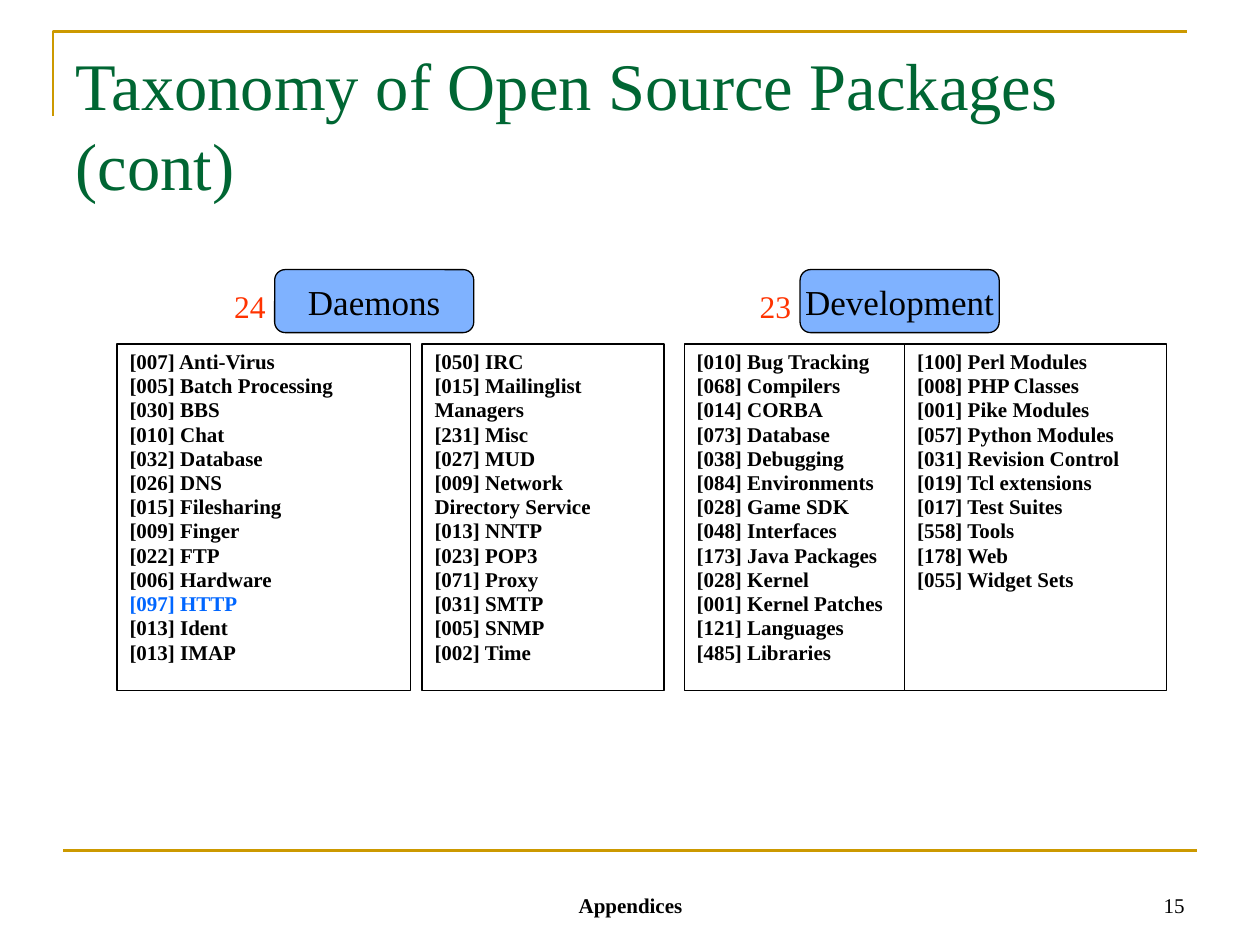
from pptx import Presentation
from pptx.dml.color import RGBColor
from pptx.enum.shapes import MSO_CONNECTOR, MSO_SHAPE
from pptx.enum.text import MSO_ANCHOR, MSO_AUTO_SIZE, PP_ALIGN
from pptx.oxml.ns import qn
from pptx.util import Inches, Pt
from lxml import etree

STRAIGHT = MSO_CONNECTOR.STRAIGHT
RECT, BADGE = MSO_SHAPE.RECTANGLE, MSO_SHAPE.FLOWCHART_ALTERNATE_PROCESS
TOP, MIDDLE, BOTTOM = MSO_ANCHOR.TOP, MSO_ANCHOR.MIDDLE, MSO_ANCHOR.BOTTOM
LEFT, CENTER, RIGHT = PP_ALIGN.LEFT, PP_ALIGN.CENTER, PP_ALIGN.RIGHT
NO_AUTOFIT = MSO_AUTO_SIZE.NONE
TITLE_ONLY = 5

FONT = "Times New Roman"
COLORS = {"rule": "CC9900", "title": "006633", "accent": "0066FF",
          "count": "FF3300", "ink": "000000", "paper": "FFFFFF"}
HIGHLIGHT = "[097] HTTP"

# Each group: name, package count, left of its badge, columns as (left, width, entries)
GROUPS = [
    ("Daemons", "24", 2.18, [
        (0.93, 2.33, ["[007] Anti-Virus", "[005] Batch Processing", "[030] BBS",
                      "[010] Chat", "[032] Database", "[026] DNS",
                      "[015] Filesharing", "[009] Finger", "[022] FTP",
                      "[006] Hardware", "[097] HTTP", "[013] Ident", "[013] IMAP"]),
        (3.35, 1.92, ["[050] IRC", "[015] Mailinglist Managers", "[231] Misc",
                      "[027] MUD", "[009] Network Directory Service",
                      "[013] NNTP", "[023] POP3", "[071] Proxy", "[031] SMTP",
                      "[005] SNMP", "[002] Time"]),
    ]),
    ("Development", "23", 6.35, [
        (5.43, 1.75, ["[010] Bug Tracking", "[068] Compilers", "[014] CORBA",
                      "[073] Database", "[038] Debugging", "[084] Environments",
                      "[028] Game SDK", "[048] Interfaces", "[173] Java Packages",
                      "[028] Kernel", "[001] Kernel Patches", "[121] Languages",
                      "[485] Libraries"]),
        (7.18, 2.08, ["[100] Perl Modules", "[008] PHP Classes",
                      "[001] Pike Modules", "[057] Python Modules",
                      "[031] Revision Control", "[019] Tcl extensions",
                      "[017] Test Suites", "[558] Tools", "[178] Web",
                      "[055] Widget Sets"]),
    ]),
]


def rgb(name):
    return RGBColor.from_string(COLORS[name])


def inches(*lengths):
    return [Inches(length) for length in lengths]


def write(para, text, size, color="ink", bold=False, align=LEFT):
    para.alignment = align
    span = para.add_run()
    span.text = text
    span.font.name = FONT
    span.font.size = Pt(size)
    span.font.bold = bold
    span.font.color.rgb = rgb(color)


def set_frame(shape, anchor, wrap=True):
    frame = shape.text_frame
    frame.auto_size = NO_AUTOFIT
    frame.word_wrap = wrap
    frame.vertical_anchor = anchor
    return frame


def add_label(page, box, text, size, anchor=TOP, **style):
    label = page.shapes.add_textbox(*inches(*box))
    write(set_frame(label, anchor).paragraphs[0], text, size, **style)


def add_panel(page, kind, box, fill):
    panel = page.shapes.add_shape(kind, *inches(*box))
    panel.shadow.inherit = False
    panel.fill.solid()
    panel.fill.fore_color.rgb = rgb(fill)
    panel.line.color.rgb = rgb("ink")
    panel.line.width = Pt(0.75)
    return panel


def add_rules(page, left, top, width, height):
    # Corner rule around the title
    builder = page.shapes.build_freeform(*inches(left, top + height))
    builder.add_line_segments([inches(left, top), inches(left + width, top)], close=False)
    corner = builder.convert_to_shape()
    corner.shadow.inherit = False
    corner.fill.background()
    # Rule above the footer
    footer_rule = page.shapes.add_connector(STRAIGHT, *inches(0.5, 6.75, 9.5, 6.75))
    etree.SubElement(footer_rule._element.spPr, qn("a:effectLst"))
    for rule in (corner, footer_rule):
        rule.line.color.rgb = rgb("rule")
        rule.line.width = Pt(1.5)


def add_title(page, box):
    title = page.shapes.title
    title.left, title.top, title.width, title.height = inches(*box)
    write(set_frame(title, TOP).paragraphs[0],
          "Taxonomy of Open Source Packages (cont)", 38, "title")


def add_column(page, box, entries):
    frame = set_frame(add_panel(page, RECT, box, "paper"), TOP)
    for index, entry in enumerate(entries):
        para = frame.add_paragraph() if index else frame.paragraphs[0]
        para.line_spacing = 0.96
        write(para, entry, 12, "accent" if entry == HIGHLIGHT else "ink", bold=True)


def add_heading(page, left, top, name, count):
    badge = add_panel(page, BADGE, (left, top, 1.58, 0.5), "accent")
    color = badge.fill._xPr.find(qn("a:solidFill"))[0]
    etree.SubElement(color, qn("a:alpha"), val="50000")
    write(set_frame(badge, MIDDLE, wrap=False).paragraphs[0], name, 20, align=CENTER)
    add_label(page, (left - 0.42, top + 0.09, 0.45, 0.4), count, 18, color="count")


def add_footer(page, top, height):
    add_label(page, (3.42, top, 3.17, height), "Appendices", 12, BOTTOM,
              bold=True, align=CENTER)
    add_label(page, (7.17, top, 2.33, height), "15", 12, BOTTOM, align=RIGHT)


def main():
    deck = Presentation()
    deck.slide_width, deck.slide_height = inches(10, 7.5)
    page = deck.slides.add_slide(deck.slide_layouts[TITLE_ONLY])
    add_rules(page, 0.42, 0.25, 9, 0.67)
    add_title(page, (0.5, 0.3, 9, 1.25))
    for name, count, badge_left, columns in GROUPS:
        for left, width, entries in columns:
            add_column(page, (left, 2.73, width, 2.75), entries)
        add_heading(page, badge_left, 2.14, name, count)
    add_footer(page, 6.83, 0.5)
    deck.save("out.pptx")


if __name__ == "__main__":
    main()
